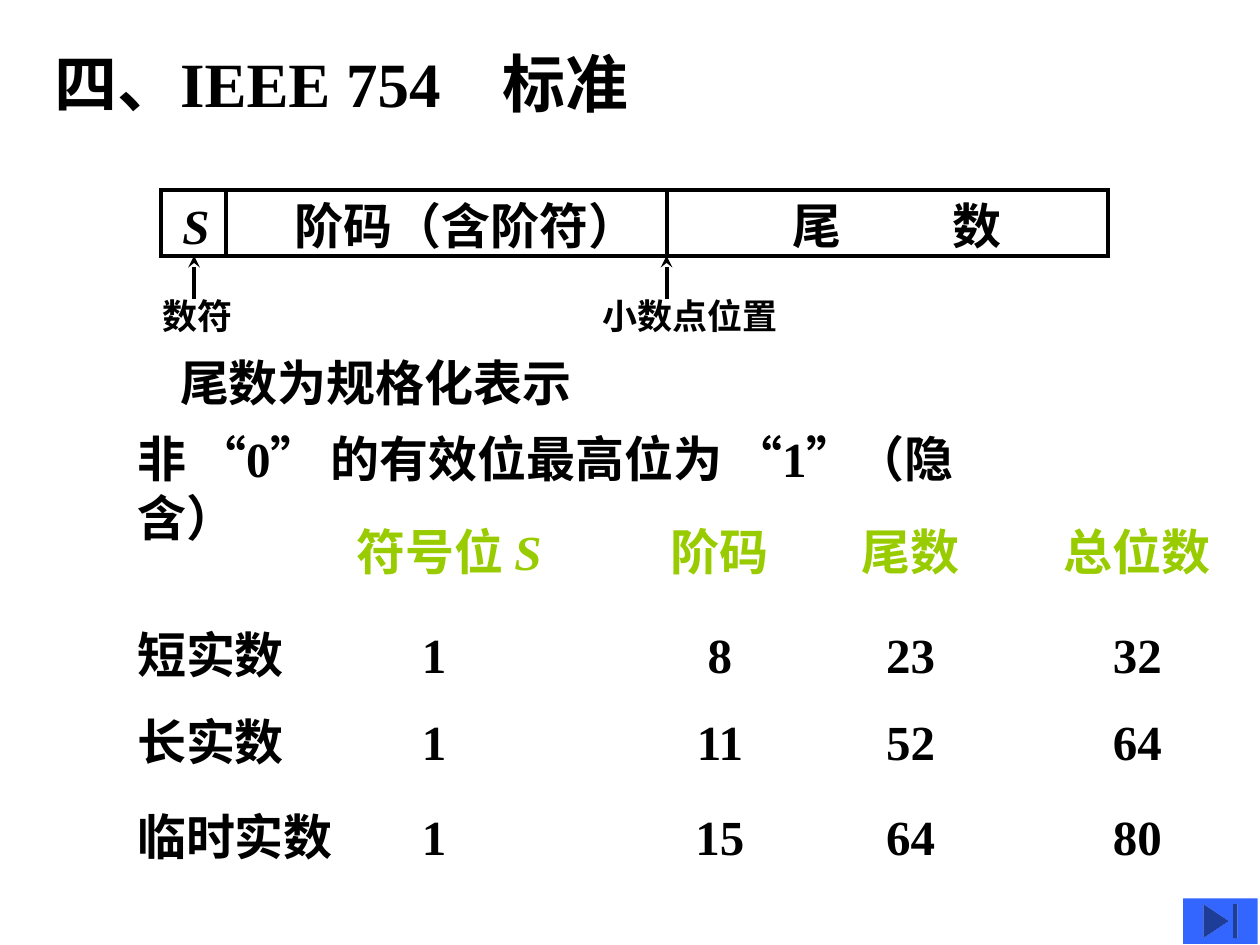
from lxml.etree import SubElement
from pptx import Presentation
from pptx.dml.color import RGBColor
from pptx.enum.shapes import MSO_CONNECTOR, MSO_SHAPE
from pptx.oxml.ns import qn
from pptx.util import Pt

COLORS = {"ink": "000000", "header": "99CC00", "button": "3366FF"}
FONT = "Times New Roman"
INSET_X, INSET_Y = 7.2, 3.6
BODY, SMALL, TITLE = 28, 20, 36


def rgb(name):
    return RGBColor.from_string(COLORS[name])


def label_width(label, size):
    """Box width that holds full-width characters on one line, with slack."""
    return len(label) * size + 2 * INSET_X + 6


class SlideBuilder:
    """Draws elements on one slide in a shared style; lengths are points."""

    def __init__(self, slide):
        self.shapes = slide.shapes

    def text(self, x, y, w, h, runs, size=BODY, color="ink", tabs=(), wrap=True):
        """runs: (text, italic) pairs; tabs: (slide x, alignment) pairs."""
        tf = self.shapes.add_textbox(Pt(x), Pt(y), Pt(w), Pt(h)).text_frame
        tf.word_wrap = wrap
        tf.margin_left = tf.margin_right = Pt(INSET_X)
        tf.margin_top = tf.margin_bottom = Pt(INSET_Y)
        p = tf.paragraphs[0]
        if tabs:
            tab_list = SubElement(p._p.get_or_add_pPr(), qn("a:tabLst"))
            for pos, align in tabs:
                SubElement(tab_list, qn("a:tab"),
                           pos=str(int(Pt(pos - x - INSET_X))), algn=align)
        for content, italic in runs:
            r = p.add_run()
            r.text = content
            r.font.name = FONT
            r.font.size = Pt(size)
            r.font.bold = True
            r.font.italic = italic
            r.font.color.rgb = rgb(color)

    def label(self, x, y, h, label, size=BODY):
        self.text(x, y, label_width(label, size), h, [(label, False)],
                  size=size)

    def frame(self, x, y, w, h):
        sp = self.shapes.add_shape(MSO_SHAPE.RECTANGLE, Pt(x), Pt(y), Pt(w), Pt(h))
        sp.shadow.inherit = False
        sp.fill.background()
        sp.line.color.rgb = rgb("ink")
        sp.line.width = Pt(2.25)
        SubElement(sp.line._get_or_add_ln(), qn("a:miter"), lim="800000")

    def vertical(self, x, y1, y2, arrow=False):
        cxn = self.shapes.add_connector(
            MSO_CONNECTOR.STRAIGHT, Pt(x), Pt(y1), Pt(x), Pt(y2))
        cxn.line.color.rgb = rgb("ink")
        cxn.line.width = Pt(2.25)
        if arrow:
            SubElement(cxn.line._get_or_add_ln(), qn("a:tailEnd"), type="stealth")
        SubElement(cxn._element.spPr, qn("a:effectLst"))

    def end_button(self, x, y, w, h):
        sp = self.shapes.add_shape(
            MSO_SHAPE.ACTION_BUTTON_END, Pt(x), Pt(y), Pt(w), Pt(h))
        sp.shadow.inherit = False
        sp.fill.solid()
        sp.fill.fore_color.rgb = rgb("button")
        sp.line.fill.background()


def main():
    prs = Presentation()
    prs.slide_width, prs.slide_height = Pt(720), Pt(540)
    s = SlideBuilder(prs.slides.add_slide(prs.slide_layouts[6]))

    s.text(23.8, 22, 378, 50.4, [("四、IEEE 754\t标准", False)],
           size=TITLE, tabs=[(287.4, "l")])

    # Format of a floating-point number
    top, bottom, point_x = 108.7, 146.2, 380.9
    s.text(97.2, 108, 504, 41, [("S", True), ("\t阶码（含阶符）\t尾\t数", False)],
           tabs=[(168.5, "l"), (453, "l"), (544.5, "l")])
    s.frame(92.2, top, 540.7, bottom - top)
    for x in (128.9, point_x):
        s.vertical(x, top, bottom)
    for x, left, label in ((110.9, 85.7, "数符"), (point_x, 337, "小数点位置")):
        s.label(left, 164.9, 31.7, label, size=SMALL)
        s.vertical(x, 170.6, bottom, arrow=True)

    s.label(95.8, 198, 41, "尾数为规格化表示")
    s.text(71.3, 241.2, 533.5, 41,
           [("非 “0” 的有效位最高位为 “1”（隐含）", False)])

    # Field widths, centred under their headings
    columns = [(x, "ctr") for x in (411.5, 520.5, 650)]
    s.text(196.6, 294.5, 518, 41,
           [("符号位 ", False), ("S", True), ("\t阶码\t尾数\t总位数", False)],
           color="header", tabs=columns, wrap=False)
    rows = ((353.5, "短实数", (1, 8, 23, 32)),
            (403.2, "长实数", (1, 11, 52, 64)),
            (457.2, "临时实数", (1, 15, 64, 80)))
    for y, label, widths in rows:
        s.label(71.3, y, 41, label)
        s.text(234, y, 450, 41, [("\t".join(map(str, widths)), False)], tabs=columns)

    s.end_button(676.1, 513.4, 42.5, 25.9)
    prs.save("out.pptx")


if __name__ == "__main__":
    main()
